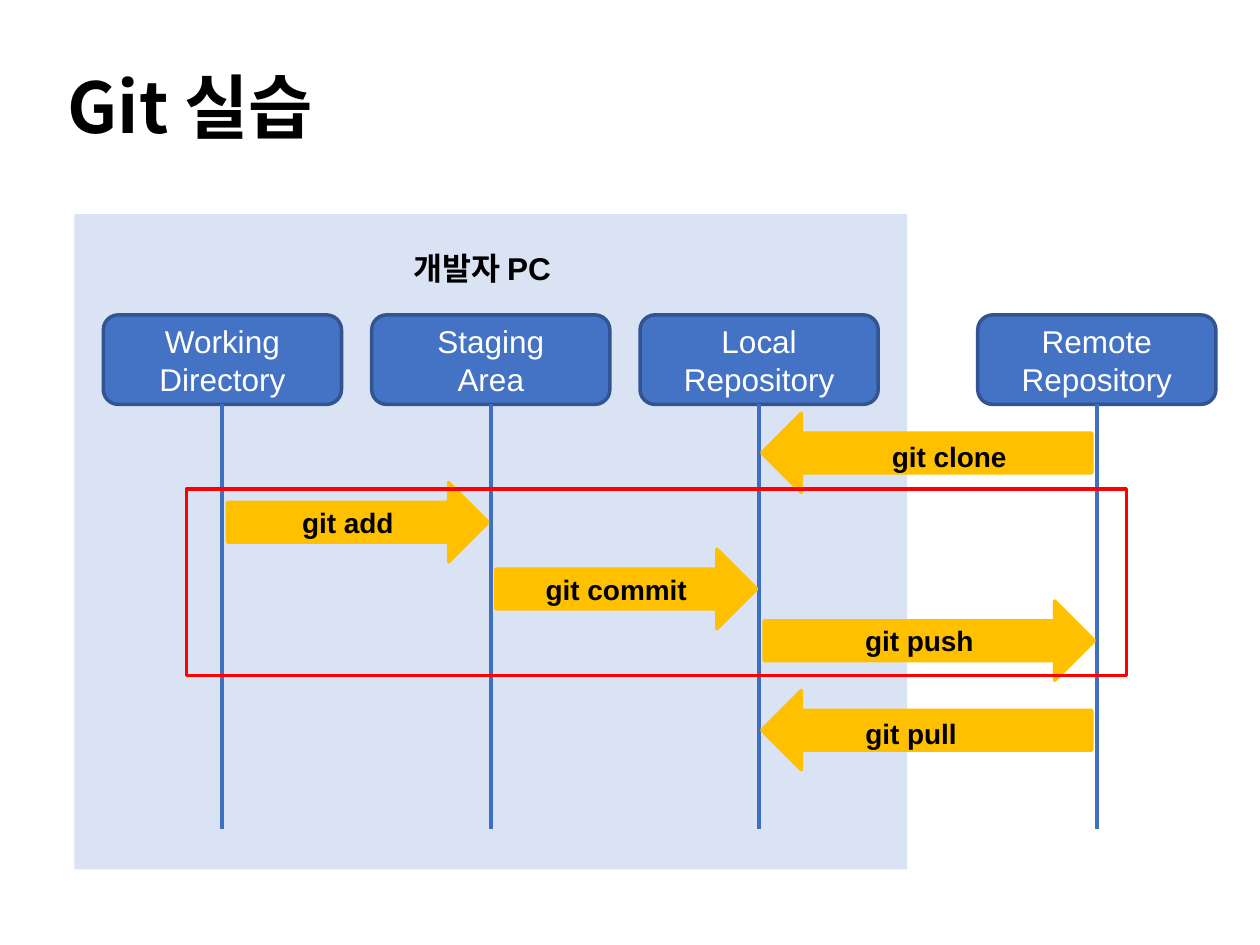
from lxml import etree
from pptx import Presentation
from pptx.dml.color import RGBColor
from pptx.enum.shapes import MSO_CONNECTOR, MSO_SHAPE
from pptx.enum.text import MSO_ANCHOR, MSO_AUTO_SIZE, PP_ALIGN
from pptx.oxml.ns import qn
from pptx.util import Inches, Pt

RECTANGLE = MSO_SHAPE.RECTANGLE
ROUNDED = MSO_SHAPE.ROUNDED_RECTANGLE
RIGHT_ARROW, LEFT_ARROW = MSO_SHAPE.RIGHT_ARROW, MSO_SHAPE.LEFT_ARROW
STRAIGHT = MSO_CONNECTOR.STRAIGHT
CENTER, LEFT = PP_ALIGN.CENTER, PP_ALIGN.LEFT
MIDDLE, TOP = MSO_ANCHOR.MIDDLE, MSO_ANCHOR.TOP

COLORS = {
    "panel": "DAE3F3", "stage": "4472C4", "stage_edge": "325491",
    "lifeline": "3F6FC3", "command": "FFC000", "highlight": "FF0000",
    "light": "FFFFFF", "dark": "000000",
}
BODY_FONT, TITLE_FONT = "Arial", "Noto Sans CJK KR"
WIDTH, HEIGHT = Inches(10), Inches(7.5)

# All lengths below are percentages of the slide's width or height.
STAGE_WIDTH, STAGE_HEIGHT, STAGE_TOP = 18.9, 9.47, 33.33
LANE_LEFT, LANE_STEP = 8.2, 21.3
REMOTE_LEFT = 77.6
LIFELINE_END = 87.73
ARROW_HEIGHT, TIP_GAP, TAIL_GAP = 8.4, 0.2, 0.4
LABEL_DROP, LABEL_HEIGHT = 2.13, 4.93

STAGES = [
    (LANE_LEFT, ("Working", "Directory")),
    (LANE_LEFT + LANE_STEP, ("Staging", "Area")),
    (LANE_LEFT + 2 * LANE_STEP, ("Local", "Repository")),
    (REMOTE_LEFT, ("Remote", "Repository")),
]
WORKING, STAGING, LOCAL, REMOTE = range(4)
# command, source lane, target lane, top
PUSHES = [
    ("git add", WORKING, STAGING, 51.07),
    ("git commit", STAGING, LOCAL, 58.13),
    ("git push", LOCAL, REMOTE, 63.6),
]
# command, source lane, target lane, top, label left, label width
FETCHES = [
    ("git clone", REMOTE, LOCAL, 43.73, 69.8, 11.4),
    ("git pull", REMOTE, LOCAL, 73.07, 67.7, 9.7),
]


def color(name):
    return RGBColor.from_string(COLORS[name])


def across(share):
    return round(WIDTH * share / 100)


def down(share):
    return round(HEIGHT * share / 100)


def place(left, top, width, height):
    return across(left), down(top), across(width), down(height)


def lane_x(lane):
    return STAGES[lane][0] + STAGE_WIDTH / 2


def write(frame, lines, size, ink, bold=False, font=BODY_FONT,
          align=CENTER, anchor=MIDDLE):
    frame.vertical_anchor = anchor
    for index, line in enumerate(lines):
        paragraph = frame.add_paragraph() if index else frame.paragraphs[0]
        paragraph.alignment = align
        run = paragraph.add_run()
        run.text = line
        run.font.size, run.font.bold, run.font.name = Pt(size), bold, font
        run.font.color.rgb = color(ink)
        east_asian = etree.SubElement(run.font._element, qn("a:ea"))
        east_asian.set("typeface", TITLE_FONT)


def add_block(slide, kind, box, fill=None, edge=None):
    block = slide.shapes.add_shape(kind, *place(*box))
    block.shadow.inherit = False
    if fill:
        block.fill.solid()
        block.fill.fore_color.rgb = color(fill)
    else:
        block.fill.background()
    if edge:
        block.line.color.rgb = color(edge)
        block.line.width = Pt(2)
    else:
        block.line.fill.background()
    return block


def add_label(slide, box, text, size):
    frame = slide.shapes.add_textbox(*place(*box)).text_frame
    frame.word_wrap = False
    frame.auto_size = MSO_AUTO_SIZE.SHAPE_TO_FIT_TEXT
    write(frame, [text], size, "dark", bold=True, align=LEFT, anchor=TOP)


def add_title(slide, text):
    frame = slide.shapes.add_textbox(*place(4.4, 2.4, 91.4, 17.47)).text_frame
    frame.word_wrap = True
    write(frame, [text], 40, "dark", bold=True, font=TITLE_FONT, align=LEFT)


def add_stage(slide, left, lines):
    box = (left, STAGE_TOP, STAGE_WIDTH, STAGE_HEIGHT)
    stage = add_block(slide, ROUNDED, box, "stage", "stage_edge")
    write(stage.text_frame, lines, 18, "light")
    return stage


def add_lifeline(slide, stage):
    x = stage.left + stage.width // 2
    lifeline = slide.shapes.add_connector(
        STRAIGHT, x, stage.top + stage.height, x, down(LIFELINE_END))
    lifeline.begin_connect(stage, 2)
    lifeline.line.color.rgb = color("lifeline")
    lifeline.line.width = Pt(2.25)
    etree.SubElement(lifeline._element.spPr, qn("a:effectLst"))


def add_command_arrow(slide, source, target, top):
    """Span two lanes, with the tip just short of the target lifeline."""
    start, end = lane_x(source), lane_x(target)
    rightward = start < end
    left = start + TAIL_GAP if rightward else end + TIP_GAP
    width = abs(end - start) - TAIL_GAP - TIP_GAP
    kind = RIGHT_ARROW if rightward else LEFT_ARROW
    return add_block(slide, kind, (left, top, width, ARROW_HEIGHT),
                     "command", "command")


def main():
    presentation = Presentation()
    presentation.slide_width, presentation.slide_height = WIDTH, HEIGHT
    slide = presentation.slides.add_slide(presentation.slide_layouts[6])

    add_block(slide, RECTANGLE, (5.9, 22.67, 66.1, 69.33), "panel")
    stages = [add_stage(slide, left, lines) for left, lines in STAGES]
    for stage in stages:
        add_lifeline(slide, stage)

    for command, source, target, top in PUSHES:
        arrow = add_command_arrow(slide, source, target, top)
        write(arrow.text_frame, [command], 16, "dark", bold=True)
    for command, source, target, top, label_left, label_width in FETCHES:
        add_command_arrow(slide, source, target, top)
        label_box = (label_left, top + LABEL_DROP, label_width, LABEL_HEIGHT)
        add_label(slide, label_box, command, 16)

    add_block(slide, RECTANGLE, (14.8, 51.73, 74.6, 19.73), edge="highlight")
    add_title(slide, "Git 실습")
    add_label(slide, (31.8, 25.73, 13.8, 5.33), "개발자 PC", 18)
    presentation.save("out.pptx")


if __name__ == "__main__":
    main()
